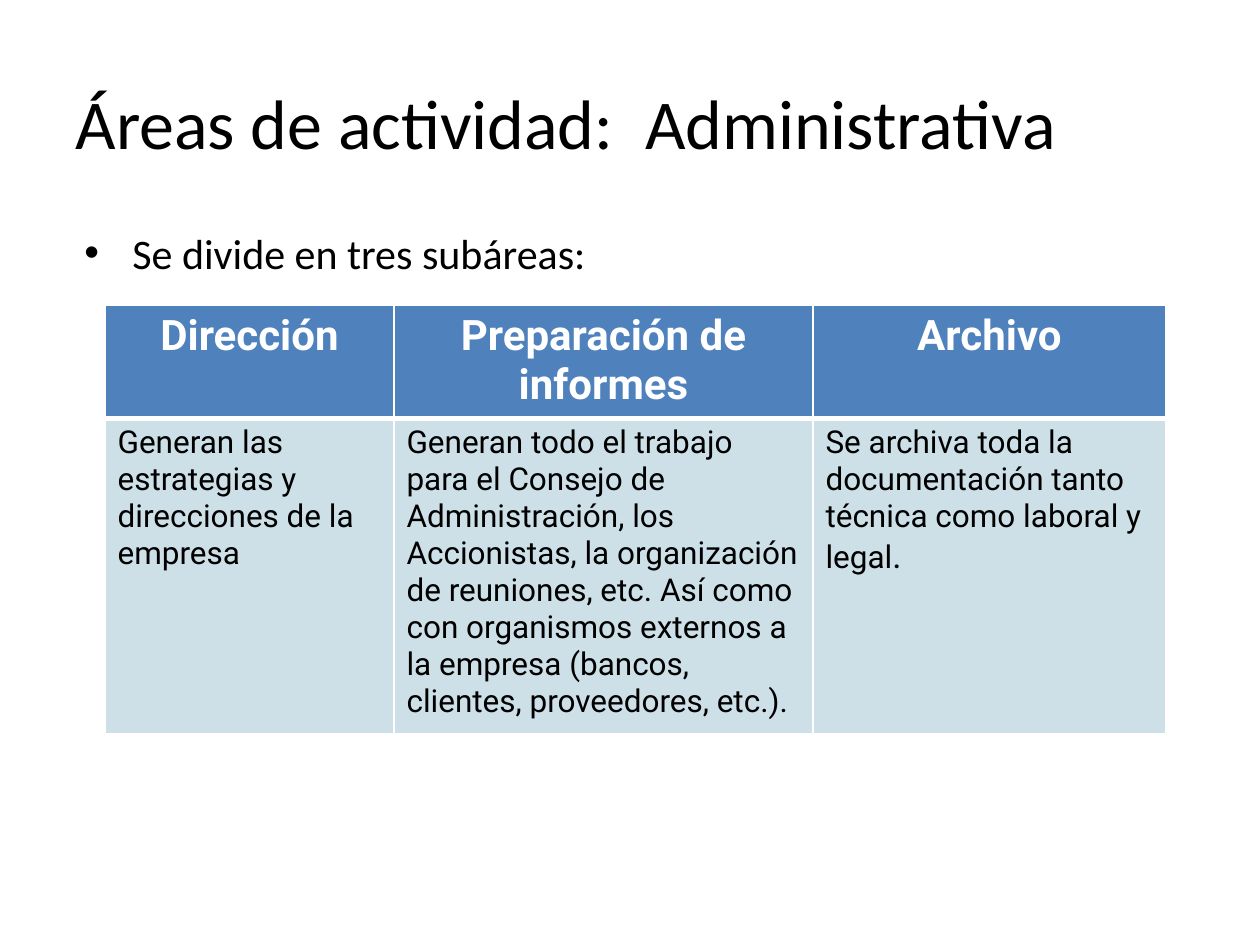
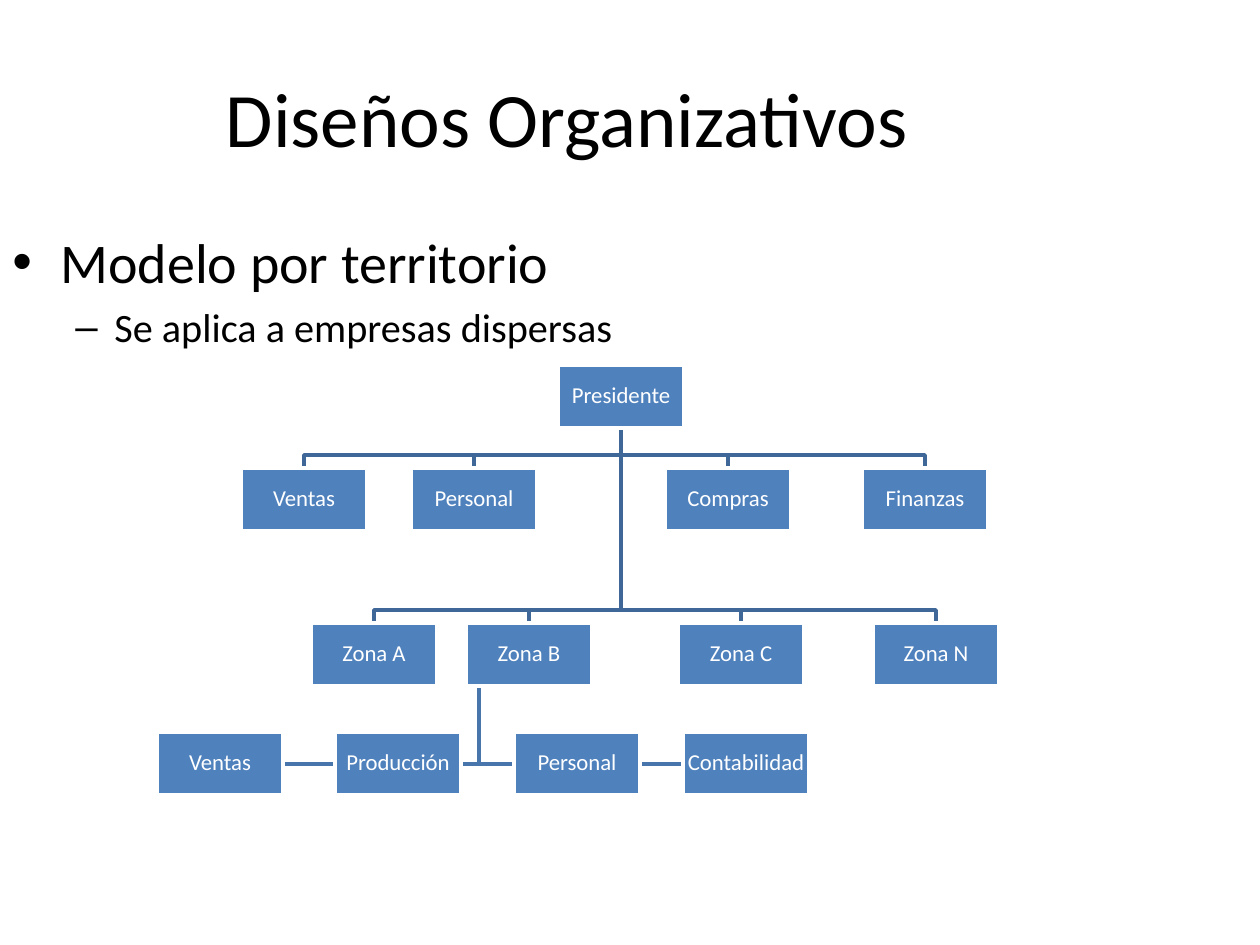
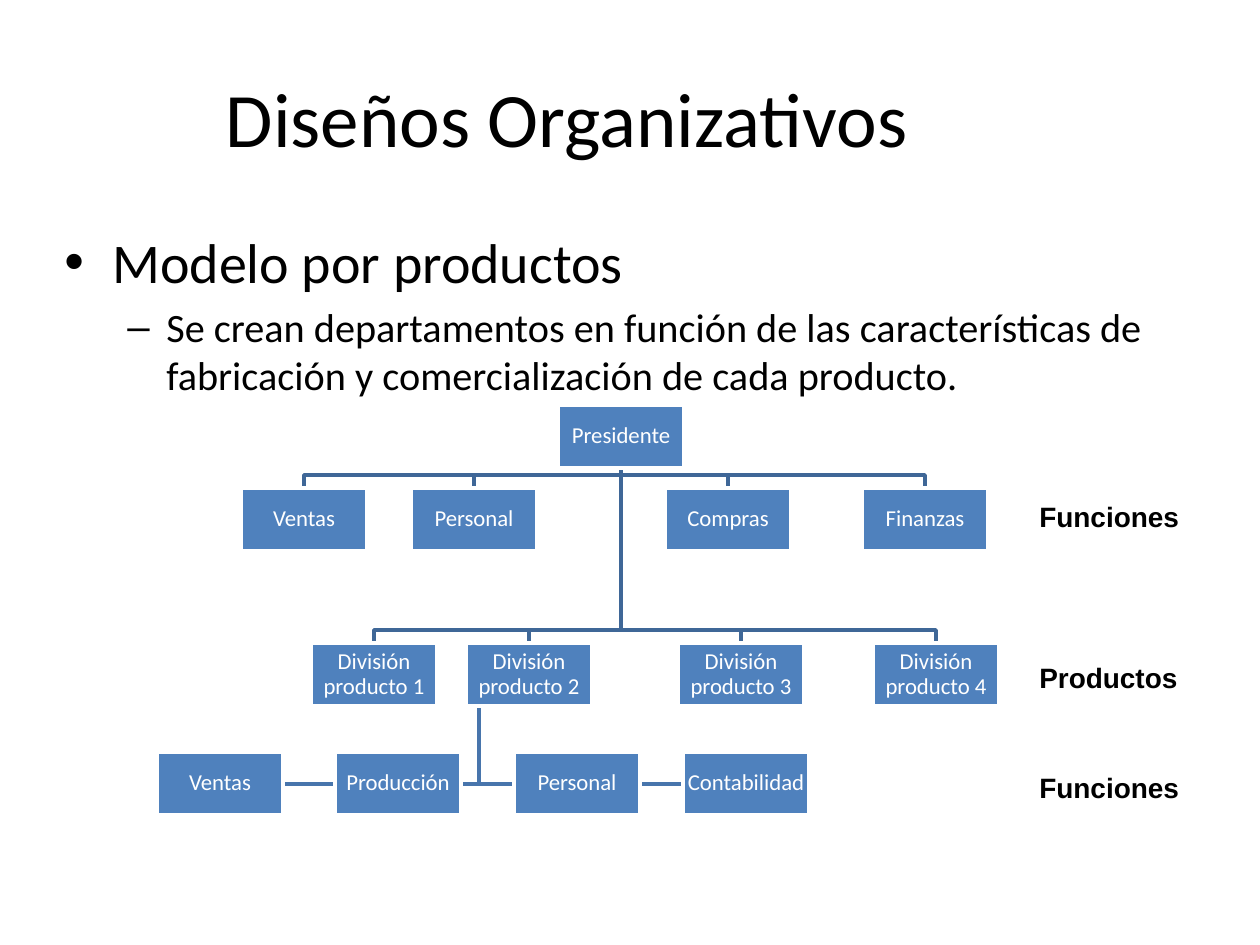
from lxml import etree
from pptx import Presentation
from pptx import util as u
from pptx.dml.color import RGBColor
from pptx.enum import shapes, text
from pptx.oxml import ns

HUE = {"ink": "000000", "white": "FFFFFF", "blue": "4F81BD", "pale": "CDE0E8",
       "trunk": "3F6797", "leaf": "4875AC"}
LEFT, MID = text.PP_ALIGN.LEFT, text.PP_ALIGN.CENTER
TOP, HALF = text.MSO_ANCHOR.TOP, text.MSO_ANCHOR.MIDDLE
WIDE, TALL = 126, 63
px = lambda n: u.Emu(round(n * 914400 / 126))
rgb = lambda name: RGBColor.from_string(HUE[name])


def style(item, form):
    for key, val in form.items():
        setattr(item, key, val)


def write(par, words, size, hue="ink", face="Calibri", bold=False, align=LEFT):
    par.alignment = align
    run = par.add_run()
    run.text = words
    style(run.font, {"size": u.Pt(size), "name": face, "bold": bold})
    run.font.color.rgb = rgb(hue)


deck = Presentation()
style(deck, {"slide_width": px(1260), "slide_height": px(945)})

AREAS = [
    ("Dirección", 289, "Generan las estrategias y direcciones de la empresa"),
    ("Preparación de informes", 419,
     "Generan todo el trabajo para el Consejo de Administración, los Accionistas, "
     "la organización de reuniones, etc. Así como con organismos externos a la empresa "
     "(bancos, clientes, proveedores, etc.)."),
    ("Archivo", 353, "Se archiva toda la documentación tanto técnica como laboral y legal"),
]
STAFF = ["Ventas", "Personal", "Compras", "Finanzas"]
UNITS = ["Ventas", "Producción", "Personal", "Contabilidad"]
PAGES = [
    {"title": "Áreas de actividad:  Administrativa", "spot": (63, 42), "size": 40,
     "align": LEFT, "left": 72, "points": [("Se divide en tres subáreas:", 24)]},
    {"title": "Diseños Organizativos", "spot": (0, 38), "size": 44,
     "align": MID, "left": 0,
     "points": [("Modelo por territorio", 32), ("Se aplica a empresas dispersas", 23)],
     "tops": (365, 468, 623, 732), "zones": ["Zona A", "Zona B", "Zona C", "Zona N"],
     "tags": []},
    {"title": "Diseños Organizativos", "spot": (0, 38), "size": 44,
     "align": MID, "left": 52,
     "points": [("Modelo por productos", 32),
                ("Se crean departamentos en función de las características de "
                 "fabricación y comercialización de cada producto.", 23)],
     "tops": (405, 488, 643, 752),
     "zones": [f"División producto {n}" for n in range(1, 5)],
     "tags": [("Funciones", 493), ("Productos", 654), ("Funciones", 764)]},
]
MARKS = [("•", 48, -48), ("–", 102, -39)]

for page in PAGES:
    slide = deck.slides.add_slide(deck.slide_layouts[5])
    title = slide.shapes.title
    x, y = page["spot"]
    style(title, {"left": px(x), "top": px(y), "width": px(1134), "height": px(158)})
    style(title.text_frame, {"vertical_anchor": HALF, "word_wrap": True,
                             "auto_size": text.MSO_AUTO_SIZE.NONE})
    write(title.text_frame.paragraphs[0], page["title"], page["size"], align=page["align"])

    body = slide.shapes.add_textbox(px(page["left"]), px(221), px(1134), px(630)).text_frame
    body.word_wrap = True
    for i, (words, size) in enumerate(page["points"]):
        par = body.add_paragraph() if i else body.paragraphs[0]
        style(par, {"level": i, "space_before": u.Pt(size * 0.2)})
        write(par, words, size)
        mark, edge, hang = MARKS[i]
        prop = par._p.get_or_add_pPr()
        prop.set("marL", str(px(edge)))
        prop.set("indent", str(px(hang)))
        etree.SubElement(prop, ns.qn("a:buFont"), typeface="Arial")
        etree.SubElement(prop, ns.qn("a:buChar"), char=mark)

    if "tops" not in page:
        grid = slide.shapes.add_table(2, 3, px(105), px(305), px(1061), px(418)).table
        for row, high in zip(grid.rows, (111, 307)):
            row.height = px(high)
        for c, (head, wide, note) in enumerate(AREAS):
            grid.columns[c].width = px(wide)
            for r in range(2):
                cell = grid.cell(r, c)
                prop = cell._tc.get_or_add_tcPr()
                for side in "LRTB":
                    thick = 3 if side == "BT"[r] else 1
                    line = etree.SubElement(prop, ns.qn(f"a:ln{side}"), w=str(u.Pt(thick)))
                    fill = etree.SubElement(line, ns.qn("a:solidFill"))
                    etree.SubElement(fill, ns.qn("a:srgbClr"), val=HUE["white"])
                cell.fill.solid()
                cell.fill.fore_color.rgb = rgb(("blue", "pale")[r])
            write(grid.cell(0, c).text_frame.paragraphs[0], head, 24, "white", "Roboto", True, MID)
            write(grid.cell(1, c).text_frame.paragraphs[0], note, 18, face="Roboto")
        write(grid.cell(1, 2).text_frame.paragraphs[0], ".", 20, face="Roboto")
        continue

    boss, first, next_, last = page["tops"]
    ranks = [
        (boss, (558,), ["Presidente"]),
        (first, (241, 411, 665, 862), STAFF),
        (next_, (311, 466, 678, 873), page["zones"]),
        (last, (157, 335, 514, 683), UNITS),
    ]
    paths = []
    for top, lefts, _ in ranks[1:3]:
        for x in lefts:
            mid = x + WIDE // 2
            paths.append(("trunk", [(621, boss + TALL), (621, top - 13),
                                    (mid, top - 13), (mid, top)]))
    for x in ranks[3][1]:
        end = x + WIDE if x < 479 else x
        paths.append(("leaf", [(479, next_ + TALL), (479, last + 32), (end, last + 32)]))
    for hue, dots in paths:
        dots = [(px(x), px(y)) for x, y in dots]
        pen = slide.shapes.build_freeform(*dots[0])
        pen.add_line_segments(dots[1:], close=False)
        link = pen.convert_to_shape()
        link.shadow.inherit = False
        link.fill.background()
        link.line.color.rgb = rgb(hue)
        link.line.width = u.Pt(2)

    for top, lefts, names in ranks:
        for x, name in zip(lefts, names):
            box = slide.shapes.add_shape(shapes.MSO_SHAPE.RECTANGLE, px(x), px(top),
                                         px(WIDE), px(TALL))
            box.shadow.inherit = False
            box.fill.solid()
            box.fill.fore_color.rgb = rgb("blue")
            box.line.color.rgb = rgb("white")
            box.line.width = u.Pt(2)
            frame = box.text_frame
            style(frame, {"word_wrap": True, "vertical_anchor": HALF,
                          "margin_left": px(1), "margin_right": px(1),
                          "margin_top": px(1), "margin_bottom": px(1)})
            frame.paragraphs[0].line_spacing = 0.9
            write(frame.paragraphs[0], name, 13, "white", align=MID)

    for name, y in page["tags"]:
        frame = slide.shapes.add_textbox(px(1027), px(y), px(185), px(47)).text_frame
        style(frame, {"word_wrap": True, "vertical_anchor": TOP,
                      "auto_size": text.MSO_AUTO_SIZE.SHAPE_TO_FIT_TEXT})
        write(frame.paragraphs[0], name, 16, face="Arial", bold=True)

deck.save("out.pptx")
